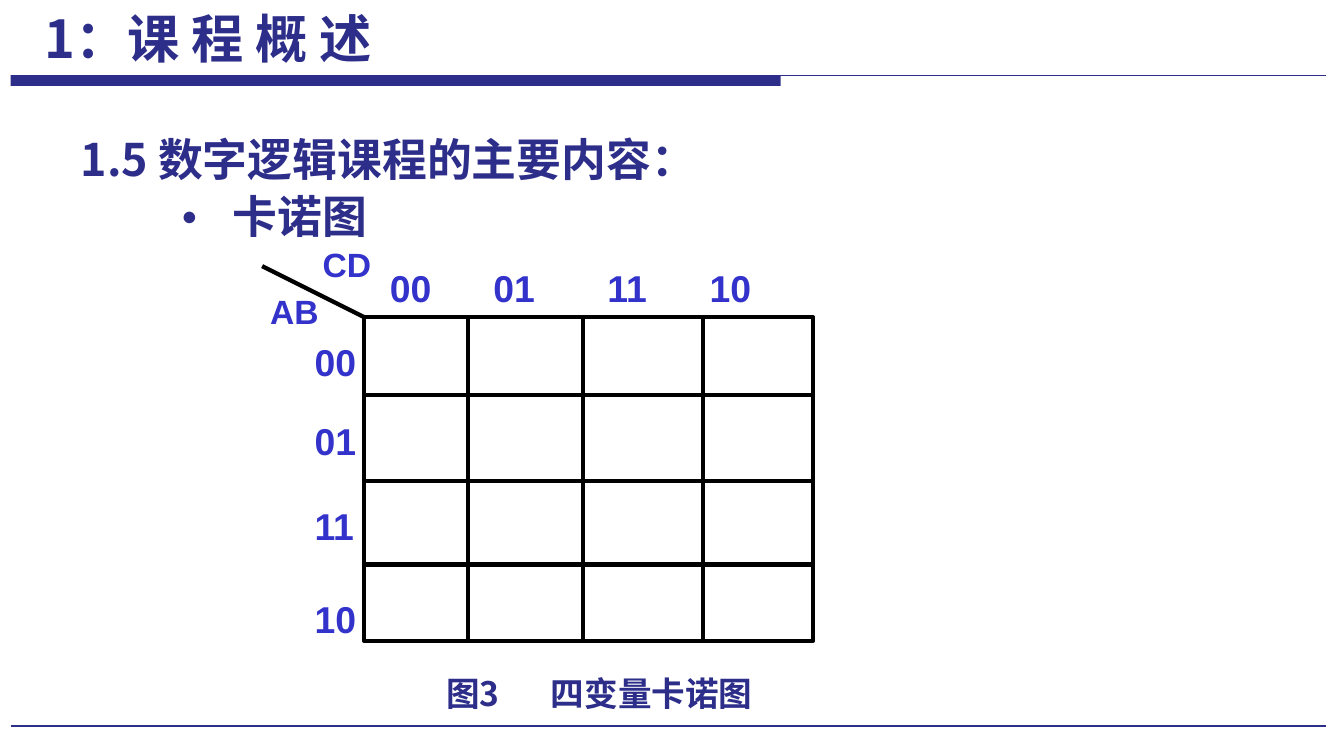
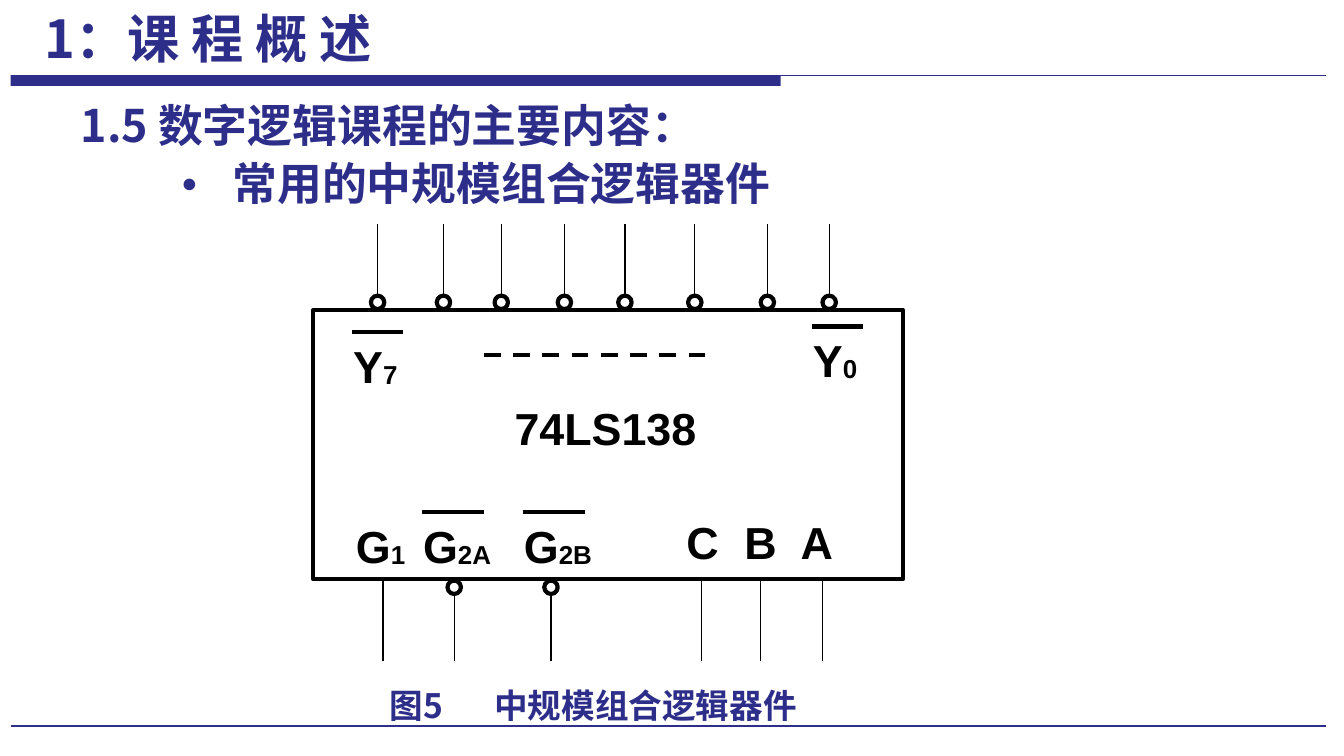
from lxml.etree import SubElement
from pptx import Presentation
from pptx.dml.color import RGBColor
from pptx.enum.dml import MSO_LINE
from pptx.enum.shapes import MSO_CONNECTOR, MSO_SHAPE
from pptx.enum.text import MSO_ANCHOR, MSO_AUTO_SIZE, PP_ALIGN
from pptx.oxml.ns import qn
from pptx.util import Inches, Pt

COLORS = {"navy": "2D2D8A", "label": "3333CC", "ink": "000000"}
LATIN, CHINESE = "Arial", "Noto Sans CJK SC"
TITLE = "1：课 程 概 述"
SECTION = "1.5 数字逻辑课程的主要内容："
TWO_CONTENT_LAYOUT = 3
THICK, THIN = 2.25, 0.75


def color(name):
    return RGBColor.from_string(COLORS[name])


# ---- Text helpers ----
def add_run(paragraph, text, size, color_name, font=LATIN, baseline=None):
    run = paragraph.add_run()
    run.text = text
    run.font.name = font
    run.font.size = Pt(size)
    run.font.bold = True
    run.font.color.rgb = color(color_name)
    properties = run._r.get_or_add_rPr()
    SubElement(properties, qn("a:ea")).set("typeface", CHINESE)
    if baseline is not None:
        properties.set("baseline", str(baseline * 1000))


def set_indent(paragraph, margin, first_line):
    properties = paragraph._p.get_or_add_pPr()
    properties.set("marL", str(Inches(margin)))
    properties.set("indent", str(Inches(first_line)))


def add_tabs(paragraph, positions):
    tab_list = SubElement(paragraph._p.get_or_add_pPr(), qn("a:tabLst"))
    for position in positions:
        tab = SubElement(tab_list, qn("a:tab"))
        tab.set("pos", str(Inches(position)))
        tab.set("algn", "l")


def add_bullet(paragraph):
    properties = paragraph._p.get_or_add_pPr()
    bullet_color = SubElement(properties, qn("a:buClr"))
    SubElement(bullet_color, qn("a:srgbClr")).set("val", COLORS["navy"])
    SubElement(properties, qn("a:buSzPct")).set("val", "60000")
    SubElement(properties, qn("a:buChar")).set("char", "●")


def place(shape, left, top, width, height):
    shape.left, shape.top = Inches(left), Inches(top)
    shape.width, shape.height = Inches(width), Inches(height)


def prepare_frame(shape, anchor=MSO_ANCHOR.TOP, wrap=True):
    frame = shape.text_frame
    frame.auto_size = MSO_AUTO_SIZE.NONE
    frame.word_wrap = wrap
    frame.vertical_anchor = anchor
    paragraph = frame.paragraphs[0]
    paragraph.space_before = Pt(0)
    return paragraph


def add_text_box(slide, left, top, width, height, spacing=1.0, tight=False):
    shape = slide.shapes.add_textbox(
        Inches(left), Inches(top), Inches(width), Inches(height))
    paragraph = prepare_frame(shape)
    paragraph.line_spacing = spacing
    if tight:
        frame = shape.text_frame
        frame.margin_left = frame.margin_right = Inches(0.09)
        frame.margin_top = frame.margin_bottom = Inches(0.04)
    return paragraph


# ---- Drawing helpers ----
def add_line(slide, x1, y1, x2, y2, width=THICK, color_name="ink"):
    line = slide.shapes.add_connector(
        MSO_CONNECTOR.STRAIGHT, Inches(x1), Inches(y1), Inches(x2), Inches(y2))
    line.line.color.rgb = color(color_name)
    line.line.width = Pt(width)
    SubElement(line._element.spPr, qn("a:effectLst"))
    return line


def add_outline(slide, kind, left, top, width, height):
    shape = slide.shapes.add_shape(
        kind, Inches(left), Inches(top), Inches(width), Inches(height))
    shape.shadow.inherit = False
    shape.fill.background()
    shape.line.color.rgb = color("ink")
    shape.line.width = Pt(THICK)
    return shape


# ---- Parts shared by the slides ----
def add_frame(slide):
    left, right, top = 0.08, 9.87, 0.56
    band = slide.shapes.add_shape(
        MSO_SHAPE.RECTANGLE, Inches(left), Inches(top), Inches(5.73), Inches(0.08))
    band.shadow.inherit = False
    band.fill.solid()
    band.fill.fore_color.rgb = color("navy")
    band.line.fill.background()
    add_line(slide, left, top, right, top, THIN, "navy")
    add_line(slide, left, 5.4, right, 5.4, 1.25, "navy")


def add_headings(slide, top, topic):
    title, section, bullet = slide.placeholders

    place(title, 0.17, 0, 2.76, 0.56)
    paragraph = prepare_frame(title, MSO_ANCHOR.MIDDLE, wrap=False)
    paragraph.alignment = PP_ALIGN.CENTER
    add_run(paragraph, TITLE, 28, "navy", CHINESE)

    place(section, 0, top, 9.42, 0.83)
    paragraph = prepare_frame(section)
    paragraph.line_spacing = 1.5
    set_indent(paragraph, 0, 0.5)
    SubElement(paragraph._p.get_or_add_pPr(), qn("a:buNone"))
    add_run(paragraph, SECTION, 24, "navy", CHINESE)

    place(bullet, 1.25, top + 0.67, 8.54, 0.71)
    paragraph = prepare_frame(bullet)
    paragraph.line_spacing = 0.9
    set_indent(paragraph, 0.38, -0.38)
    add_bullet(paragraph)
    add_run(paragraph, topic, 24, "navy")


def add_caption(slide, left, top, width, number, text, tab):
    paragraph = add_text_box(slide, left, top, width, 0.56, spacing=1.5)
    set_indent(paragraph, 0, 0.72)
    add_tabs(paragraph, [tab])
    add_run(paragraph, f"{number}\t{text}", 18, "navy", CHINESE)


def add_content_slide(presentation, top, topic):
    slide = presentation.slides.add_slide(
        presentation.slide_layouts[TWO_CONTENT_LAYOUT])
    add_frame(slide)
    add_headings(slide, top, topic)
    return slide


# ---- Karnaugh map ----
def add_karnaugh_map(slide, left, top, width, height):
    codes = ["00", "01", "11", "10"]

    # Column codes
    paragraph = add_text_box(slide, left - 0.18, top - 0.39, width + 0.24, 0.39,
                             spacing=0.9, tight=True)
    add_tabs(paragraph, [0.28, 1.05, 1.9, 2.66])
    add_run(paragraph, "\t" + "\t".join(codes), 20, "label")

    # Grid
    add_outline(slide, MSO_SHAPE.RECTANGLE, left, top, width, height)
    for row in (0.58, 1.22, 1.84):
        add_line(slide, left, top + row, left + width, top + row)
    for column in (0.77, 1.63, 2.52):
        add_line(slide, left + column, top, left + column, top + height)
    add_line(slide, left, top, left - 0.76, top - 0.38)

    # Row codes and variable names
    labels = [(code, 20, -0.46, row, 0.58)
              for code, row in zip(codes, (0.16, 0.75, 1.38, 2.07))]
    labels += [("CD", 18, -0.4, -0.55, 0.75), ("AB", 18, -0.79, -0.2, 0.75)]
    for text, size, x, y, box_width in labels:
        paragraph = add_text_box(slide, left + x, top + y, box_width, 0.39,
                                 spacing=0.9, tight=True)
        add_run(paragraph, text, size, "label")


# ---- Decoder chip ----
def add_signal(slide, left, top, name, subscript, bar):
    paragraph = add_text_box(slide, left, top, 0.86, 0.5)
    add_run(paragraph, name, 24, "ink")
    add_run(paragraph, subscript, 24, "ink", baseline=-2)
    if bar:
        add_line(slide, left + 0.09, top, left + 0.09 + bar, top)


def add_pin(slide, x, edge, direction, length, inverted):
    """Draw a pin from the chip edge; direction is -1 for up, 1 for down."""
    bubble = 0.1
    start = edge
    if inverted:
        middle = edge + direction * 0.06
        add_outline(slide, MSO_SHAPE.OVAL, x - bubble / 2, middle - bubble / 2,
                    bubble, bubble)
        start = middle + direction * bubble / 2
    add_line(slide, x, start, x, edge + direction * length, THIN)


def add_decoder(slide, left, top, width, height):
    add_outline(slide, MSO_SHAPE.RECTANGLE, left, top, width, height)

    # Pins
    for x in (0.48, 0.97, 1.4, 1.87, 2.32, 2.84, 3.38, 3.84):
        add_pin(slide, left + x, top, -1, 0.64, inverted=True)
    for x, inverted in ((0.52, False), (1.05, True), (1.77, True),
                        (2.89, False), (3.33, False), (3.79, False)):
        add_pin(slide, left + x, top + height, 1, 0.61, inverted)

    # Signal names: offset, name, subscript, length of the bar above
    for x, y, name, subscript, bar in (
            (0.2, 0.16, "Y", "7", 0.38), (3.62, 0.12, "Y", "0", 0.38),
            (0.22, 1.5, "G", "1", 0), (0.72, 1.5, "G", "2A", 0.46),
            (1.47, 1.5, "G", "2B", 0.46)):
        add_signal(slide, left + x, top + y, name, subscript, bar)
    paragraph = add_text_box(slide, left + 2.68, top + 1.47, 1.4, 0.5)
    add_tabs(paragraph, [0.43, 0.85])
    add_run(paragraph, "C\tB\tA", 24, "ink")

    # Chip name and the dashes between the outputs
    paragraph = add_text_box(slide, left + 1.4, top + 0.62, 2.28, 0.5)
    add_run(paragraph, "74LS138", 24, "ink")
    dashes = add_line(slide, left + 1.27, top + 0.33, left + 2.93, top + 0.33)
    dashes.line.dash_style = MSO_LINE.DASH


def main():
    presentation = Presentation()
    presentation.slide_width = Inches(10)
    presentation.slide_height = Inches(10 * 9 / 16)

    slide = add_content_slide(presentation, 0.73, "卡诺图")
    add_karnaugh_map(slide, 2.71, 2.36, 3.34, 2.41)
    add_caption(slide, 2.5, 4.81, 3.58, "图3", "四变量卡诺图", 1.42)

    slide = add_content_slide(presentation, 0.48, "常用的中规模组合逻辑器件")
    add_decoder(slide, 2.33, 2.31, 4.39, 2)
    add_caption(slide, 2.08, 4.9, 4.14, "图5", "中规模组合逻辑器件", 1.33)

    presentation.save("out.pptx")


if __name__ == "__main__":
    main()
